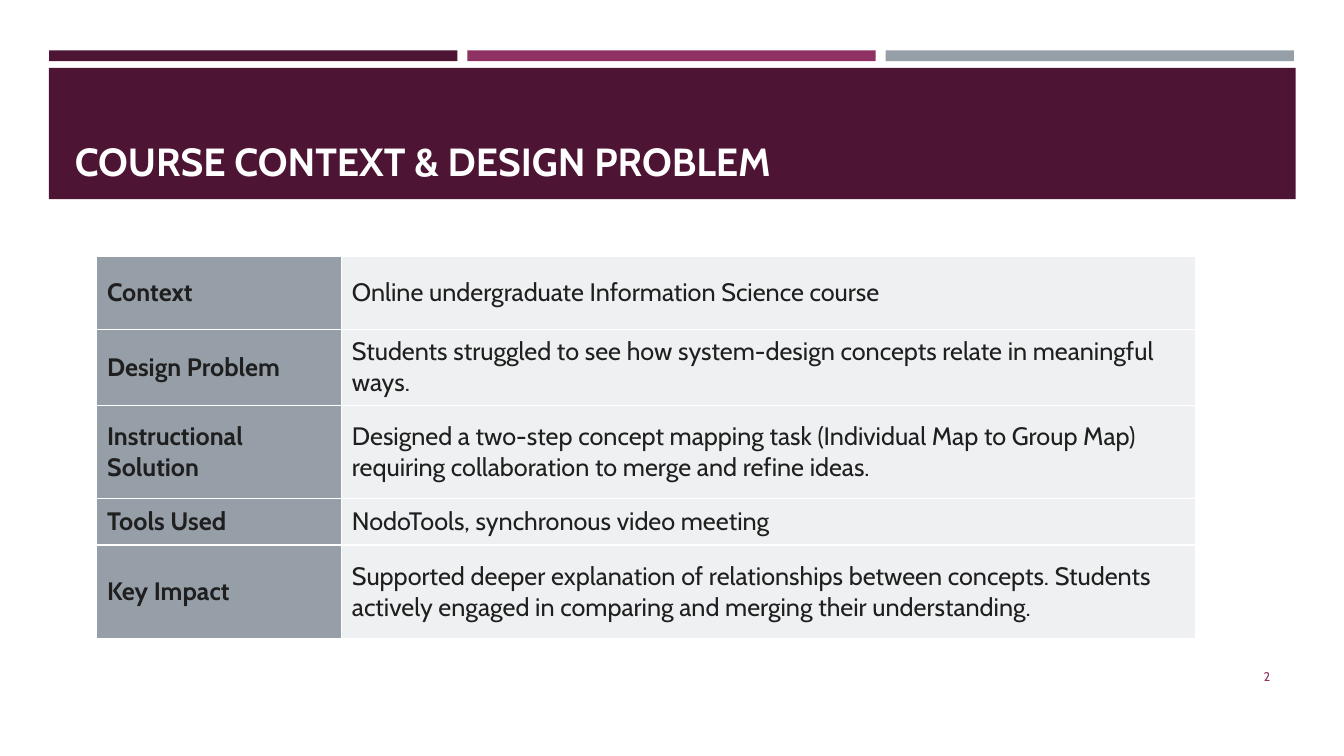
import pptx
import pptx.util
import pptx.dml.color
import pptx.enum.shapes
import pptx.enum.text
from lxml import etree

Cm, Pt = pptx.util.Cm, pptx.util.Pt
RGBColor = pptx.dml.color.RGBColor
ALIGN, ANCHOR = pptx.enum.text.PP_ALIGN, pptx.enum.text.MSO_ANCHOR

# Content
TITLE = "COURSE CONTEXT & DESIGN PROBLEM"
PAGE = "2"
ROWS = [  # height in cm, label, description
    (1.85, "Context", "Online undergraduate Information Science course"),
    (1.91, "Design Problem",
     "Students struggled to see how system-design concepts relate in meaningful ways."),
    (2.36, "Instructional Solution",
     "Designed a two-step concept mapping task (Individual Map to Group Map) "
     "requiring collaboration to merge and refine ideas."),
    (1.16, "Tools Used", "NodoTools, synchronous video meeting"),
    (2.36, "Key Impact",
     "Supported deeper explanation of relationships between concepts. Students "
     "actively engaged in comparing and merging their understanding."),
]
COL_WIDTHS = (6.17, 21.53)

# Style
FONT = "Cabin"
PLUM = RGBColor(0x4D, 0x14, 0x34)
MAGENTA = RGBColor(0x90, 0x31, 0x63)
GREY = RGBColor(0x96, 0x9F, 0xA7)
PALE = RGBColor(0xEF, 0xF0, 0xF1)
INK = RGBColor(0x1F, 0x1F, 0x1F)
WHITE = RGBColor(0xFF, 0xFF, 0xFF)
A = "http://schemas.openxmlformats.org/drawingml/2006/main"


def add_bar(slide, left, top, width, height, color):
    sp = slide.shapes.add_shape(pptx.enum.shapes.MSO_SHAPE.RECTANGLE,
                                Cm(left), Cm(top), Cm(width), Cm(height))
    sp.shadow.inherit = False
    sp.fill.solid()
    sp.fill.fore_color.rgb = color
    sp.line.fill.background()


def style(p, size, color, bold=False, align=ALIGN.LEFT):
    p.alignment = align
    p.font.name, p.font.size, p.font.bold = FONT, Pt(size), bold
    p.font.color.rgb = color


def add_borders(cell):
    tc_pr = cell._tc.get_or_add_tcPr()
    for side in ("lnL", "lnR", "lnT", "lnB"):
        ln = etree.SubElement(tc_pr, f"{{{A}}}{side}", w=str(Pt(1)))
        fill = etree.SubElement(ln, f"{{{A}}}solidFill")
        etree.SubElement(fill, f"{{{A}}}srgbClr", val=str(WHITE))


def fill_cell(cell, text, color, bold):
    add_borders(cell)
    cell.fill.solid()
    cell.fill.fore_color.rgb = color
    cell.vertical_anchor = ANCHOR.MIDDLE
    cell.margin_left = cell.margin_right = Cm(0.27)
    cell.margin_top = cell.margin_bottom = Cm(0.18)
    cell.text = text
    style(cell.text_frame.paragraphs[0], 18, INK, bold)


def main():
    prs = pptx.Presentation()
    prs.slide_width, prs.slide_height = Cm(33.87), Cm(19.05)
    slide = prs.slides.add_slide(prs.slide_layouts[5])

    # Accent bars and title band
    for i, color in enumerate((PLUM, MAGENTA, GREY)):
        add_bar(slide, 1.24 + i * 10.54, 1.27, 10.29, 0.27, color)
    add_bar(slide, 1.23, 1.71, 31.42, 3.31, PLUM)

    # Title, brought in front of its band
    title = slide.shapes.title
    title.element.getparent().append(title.element)
    title.left, title.top, title.width, title.height = Cm(1.63), Cm(1.96), Cm(30.63), Cm(2.82)
    tf = title.text_frame
    tf.text = TITLE
    tf.auto_size = pptx.enum.text.MSO_AUTO_SIZE.NONE
    tf.vertical_anchor = ANCHOR.BOTTOM
    style(tf.paragraphs[0], 28, WHITE, bold=True)

    # Table
    table = slide.shapes.add_table(
        len(ROWS), len(COL_WIDTHS), Cm(2.43), Cm(6.45),
        Cm(sum(COL_WIDTHS)), Cm(sum(row[0] for row in ROWS))).table
    table.first_row = table.horz_banding = False
    for column, width in zip(table.columns, COL_WIDTHS):
        column.width = Cm(width)
    for i, (height, label, description) in enumerate(ROWS):
        table.rows[i].height = Cm(height)
        fill_cell(table.cell(i, 0), label, GREY, bold=True)
        fill_cell(table.cell(i, 1), description, PALE, bold=False)

    # Page number
    tf = slide.shapes.add_textbox(Cm(29.34), Cm(16.54), Cm(2.92), Cm(1.02)).text_frame
    tf.word_wrap = True
    tf.vertical_anchor = ANCHOR.MIDDLE
    tf.text = PAGE
    style(tf.paragraphs[0], 9, MAGENTA, align=ALIGN.RIGHT)

    prs.save("out.pptx")


if __name__ == "__main__":
    main()
